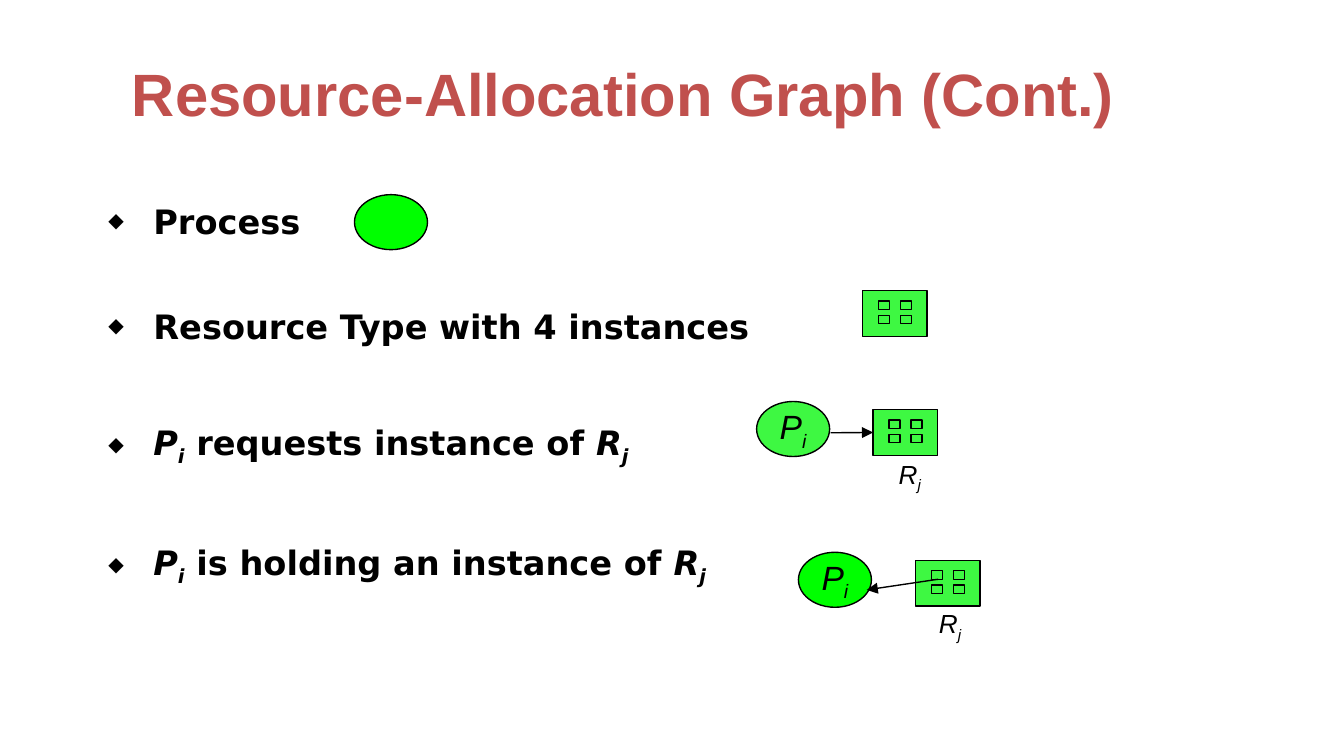
import pptx
import pptx.dml.color
import pptx.enum.shapes
import pptx.enum.text
import pptx.oxml.ns
import pptx.util

Cm = pptx.util.Cm
Pt = pptx.util.Pt
SHAPE = pptx.enum.shapes.MSO_SHAPE
ALIGN = pptx.enum.text.PP_ALIGN
ANCHOR = pptx.enum.text.MSO_ANCHOR

COLORS = {
    "title": "C0504D",
    "ink": "000000",
    "process": "00FF00",
    "resource": "3EF842",
}

# Runs are (text, style): plain, italic or italic subscript
PROCESS_NAME = [("P", "italic"), ("i", "sub")]
RESOURCE_NAME = [("R", "italic"), ("j", "sub")]

# Each bullet: space before in points, runs
BULLETS = [
    (0, [("Process", "plain")]),
    (30.5, [("Resource Type with 4 instances", "plain")]),
    (35.5, PROCESS_NAME + [(" requests instance of ", "plain")]
     + RESOURCE_NAME),
    (35, PROCESS_NAME + [(" is holding an instance of ", "plain")]
     + RESOURCE_NAME),
]


def rgb(name):
    return pptx.dml.color.RGBColor.from_string(COLORS[name])


def add_child(parent, tag, **attributes):
    child = parent.makeelement(pptx.oxml.ns.qn(tag), attributes)
    parent.append(child)
    return child


def add_runs(paragraph, runs, size, font_name, bold=False, color="ink"):
    for text, style in runs:
        run = paragraph.add_run()
        run.text = text
        run.font.name = font_name
        run.font.size = Pt(size)
        run.font.bold = bold
        run.font.italic = style != "plain"
        run.font.color.rgb = rgb(color)
        if style == "sub":
            run.font._element.set("baseline", "-25000")


def add_title(slide, text):
    title = slide.shapes.title
    title.left, title.top = Cm(2.24), Cm(1.1)
    title.width, title.height = Cm(21.69), Cm(1.45)
    frame = title.text_frame
    frame.auto_size = pptx.enum.text.MSO_AUTO_SIZE.NONE
    frame.vertical_anchor = ANCHOR.BOTTOM
    frame.paragraphs[0].alignment = ALIGN.LEFT
    add_runs(frame.paragraphs[0], [(text, "plain")], 32, "Arial", True, "title")


def add_bullets(slide):
    box = slide.shapes.add_textbox(Cm(1.7), Cm(3.64), Cm(22.23), Cm(8.7))
    frame = box.text_frame
    frame.word_wrap = True
    frame.margin_top = frame.margin_bottom = 0
    for index, (space, runs) in enumerate(BULLETS):
        line = frame.add_paragraph() if index else frame.paragraphs[0]
        line.line_spacing = 1.2
        line.space_before = Pt(space)
        props = line._p.get_or_add_pPr()
        props.set("marL", str(Cm(0.95)))
        props.set("indent", str(-Cm(0.85)))
        bullet_color = add_child(props, "a:buClr")
        add_child(bullet_color, "a:srgbClr", val=COLORS["ink"])
        add_child(props, "a:buSzPct", val="60000")
        add_child(props, "a:buFont", typeface="DejaVu Sans")
        add_child(props, "a:buChar", char="◆")
        add_runs(line, runs, 18, "DejaVu Sans", bold=True)


def add_node(slide, kind, left, top, width, height, fill):
    node = slide.shapes.add_shape(kind, Cm(left), Cm(top), Cm(width), Cm(height))
    node.shadow.inherit = False
    node.fill.solid()
    node.fill.fore_color.rgb = rgb(fill)
    node.line.color.rgb = rgb("ink")
    node.line.width = Pt(0.75)
    return node


def write_name(shape, runs, size):
    frame = shape.text_frame
    frame.word_wrap = False
    frame.margin_left = frame.margin_right = 0
    frame.vertical_anchor = ANCHOR.MIDDLE
    frame.paragraphs[0].alignment = ALIGN.CENTER
    add_runs(frame.paragraphs[0], runs, size, "Arial")


def add_process(slide, left, top, fill="process", named=True):
    process = add_node(slide, SHAPE.OVAL, left, top, 1.38, 1.04, fill)
    if named:
        write_name(process, PROCESS_NAME, 18)


def add_resource(slide, left, top):
    """Resource type with its four instances in a 2 x 2 grid."""
    resource = add_node(slide, SHAPE.RECTANGLE, left, top, 1.22, 0.87, "resource")
    for row in range(2):
        for column in range(2):
            add_node(slide, SHAPE.RECTANGLE, left + 0.3 + 0.42 * column,
                     top + 0.2 + 0.27 * row, 0.21, 0.16, "resource")
    return resource


def add_resource_label(slide, left, top):
    label = slide.shapes.add_textbox(Cm(left), Cm(top), Cm(0.91), Cm(0.94))
    write_name(label, RESOURCE_NAME, 14)


def add_arrow(slide, start, end):
    arrow = slide.shapes.add_connector(
        pptx.enum.shapes.MSO_CONNECTOR.STRAIGHT,
        *(Cm(length) for length in start + end))
    arrow.line.color.rgb = rgb("ink")
    arrow.line.width = Pt(0.75)
    add_child(arrow.line._get_or_add_ln(), "a:tailEnd", type="triangle")
    add_child(arrow._element.spPr, "a:effectLst")
    return arrow


def main():
    deck = pptx.Presentation()
    deck.slide_width, deck.slide_height = Cm(25.4), Cm(14.29)
    slide = deck.slides.add_slide(deck.slide_layouts[5])

    add_title(slide, "Resource-Allocation Graph (Cont.)")
    add_bullets(slide)

    # Legend: process and resource type
    add_process(slide, 6.7, 3.68, named=False)
    add_resource(slide, 16.3, 5.49)

    # Request edge: process to resource
    add_process(slide, 14.3, 7.59, fill="resource")
    requested = add_resource(slide, 16.5, 7.74)
    request = add_arrow(slide, (15.7, 8.18), (16.5, 8.18))
    request.end_connect(requested, 1)
    add_resource_label(slide, 16.74, 8.53)

    # Assignment edge: resource instance to process
    add_process(slide, 15.09, 10.44)
    add_resource(slide, 17.3, 10.59)
    add_arrow(slide, (17.73, 10.95), (16.38, 11.15))
    add_resource_label(slide, 17.5, 11.35)

    deck.save("out.pptx")


if __name__ == "__main__":
    main()
